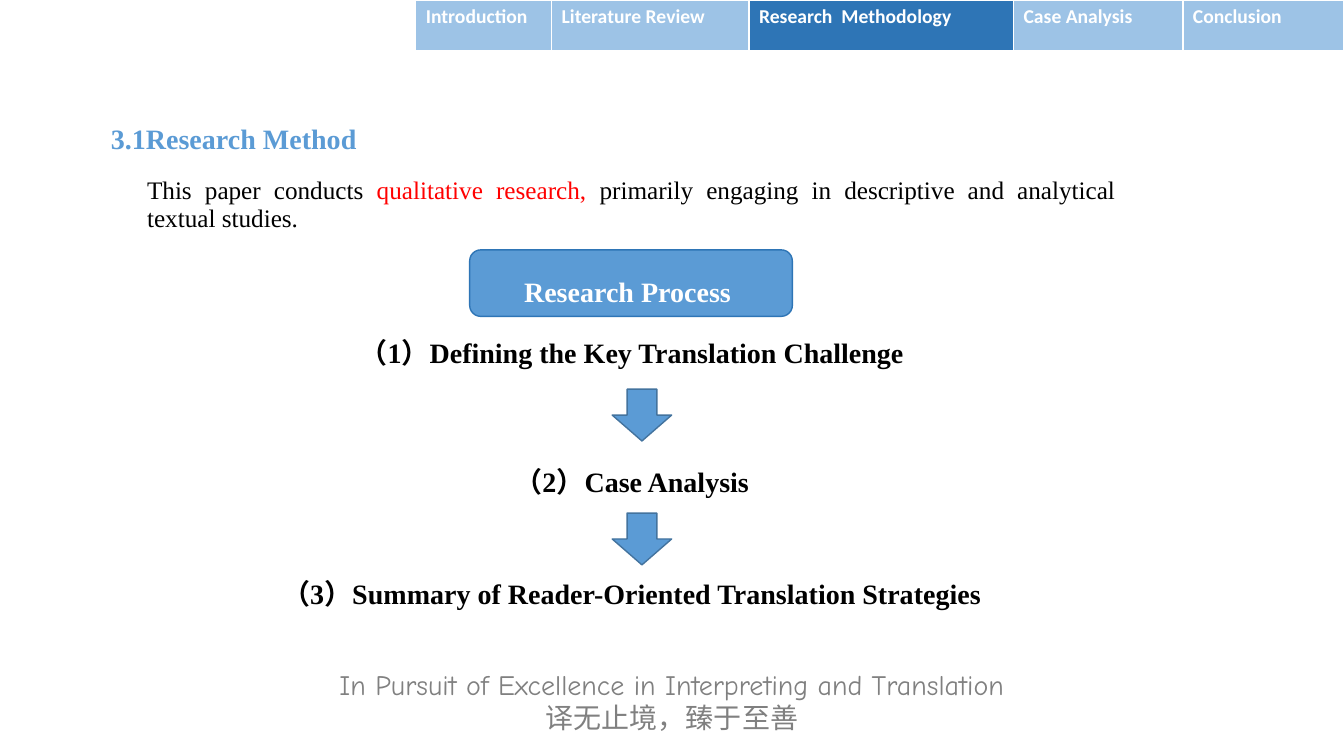
from lxml import etree
from pptx import Presentation
from pptx.dml.color import RGBColor
from pptx.enum.shapes import MSO_SHAPE
from pptx.enum.text import MSO_ANCHOR, PP_ALIGN
from pptx.oxml.ns import qn
from pptx.util import Pt

CENTER, JUSTIFY, LEFT = PP_ALIGN.CENTER, PP_ALIGN.JUSTIFY, PP_ALIGN.LEFT
MIDDLE, TOP = MSO_ANCHOR.MIDDLE, MSO_ANCHOR.TOP
ARROW, ROUNDED = MSO_SHAPE.RIGHT_ARROW, MSO_SHAPE.ROUNDED_RECTANGLE

COLORS = {
    "white": "FFFFFF", "black": "000000", "red": "FF0000", "grey": "808080",
    "blue": "5B9BD5", "pale": "9DC3E6", "dark": "2E75B6", "edge": "43739E",
}
SERIF, SANS, COMIC, CHINESE = "Times New Roman", "Calibri", "Comic Neue", "Noto Sans CJK SC"

SECTIONS = [("Introduction", 97), ("Literature Review", 141), ("Research  Methodology", 189),
            ("Case Analysis", 121), ("Conclusion", 115)]
CURRENT_SECTION = 2
# Step wording and the height of its middle within the process region
STEPS = [("（1）Defining the Key Translation Challenge", 73),
         ("（2）Case Analysis", 165.5),
         ("（3）Summary of Reader-Oriented Translation Strategies", 245.5)]
ARROW_MIDDLES = [118, 206.5]


def color(name):
    return RGBColor.from_string(COLORS[name])


def format_span(span, font, size, tint, bold=False):
    span.font.name, span.font.size, span.font.bold = font, Pt(size), bold
    span.font.color.rgb = color(tint)


def add_box(page, left, top, width, height, anchor=TOP):
    box = page.shapes.add_textbox(Pt(left), Pt(top), Pt(width), Pt(height))
    box.text_frame.word_wrap = True
    box.text_frame.vertical_anchor = anchor
    return box


def add_block(page, preset, left, top, width, height, edge):
    block = page.shapes.add_shape(preset, Pt(left), Pt(top), Pt(width), Pt(height))
    block.shadow.inherit = False
    block.fill.solid()
    block.fill.fore_color.rgb = color("blue")
    block.line.color.rgb = color(edge)
    block.line.width = Pt(1)
    return block


def add_navigation(page, left, top, height):
    width = sum(size for _, size in SECTIONS)
    table = page.shapes.add_table(1, len(SECTIONS), Pt(left), Pt(top), Pt(width), Pt(height)).table
    for index, (label, size) in enumerate(SECTIONS):
        table.columns[index].width = Pt(size)
        cell = table.cell(0, index)
        cell.text = label
        cell.fill.solid()
        cell.fill.fore_color.rgb = color("dark" if index == CURRENT_SECTION else "pale")
        format_span(cell.text_frame.paragraphs[0].runs[0], SANS, 14, "white", True)


def add_heading(page, left, top, width, height):
    title = page.shapes.title
    title.left, title.top, title.width, title.height = Pt(left), Pt(top), Pt(width), Pt(height)
    title.text_frame.text = "3.1Research Method"
    title.text_frame.vertical_anchor = MIDDLE
    para = title.text_frame.paragraphs[0]
    para.alignment, para.line_spacing = LEFT, 0.9
    format_span(para.runs[0], SERIF, 20, "blue", True)


def add_summary(page, left, top, width, height):
    para = add_box(page, left, top, width, height).text_frame.paragraphs[0]
    para.alignment, para.line_spacing = JUSTIFY, Pt(20)
    for text, tint in [("This paper conducts", "black"), (" qualitative research,", "red"),
                       (" primarily engaging in descriptive and analytical textual studies.", "black")]:
        span = para.add_run()
        span.text = text
        format_span(span, SERIF, 18, tint)


def add_process(page, left, top, width):
    # Banner
    banner = add_block(page, ROUNDED, left + 229.5, top, 230.5, 47.5, "dark")
    banner.text_frame.text = "Research Process "
    banner.text_frame.vertical_anchor = MIDDLE
    para = banner.text_frame.paragraphs[0]
    para.alignment, para.line_spacing = CENTER, 1.5
    format_span(para.runs[0], SERIF, 20, "white", True)

    # Steps
    for text, middle in STEPS:
        box = add_box(page, left, top + middle - 18, width, 36, MIDDLE)
        box.text_frame.text = text
        para = box.text_frame.paragraphs[0]
        para.alignment = CENTER
        format_span(para.runs[0], SERIF, 20, "black", True)

    # Arrows between the steps, turned to point down
    length, breadth = 37, 42.5
    for middle in ARROW_MIDDLES:
        arrow = add_block(page, ARROW, left + 352.5 - length / 2, top + middle - breadth / 2,
                          length, breadth, "edge")
        arrow.rotation = 90


def add_motto(page, left, top, width, height):
    frame = add_box(page, left, top, width, height).text_frame
    frame.text = "In Pursuit of Excellence in Interpreting and Translation\n译无止境，臻于至善"
    for para, font in zip(frame.paragraphs, (COMIC, CHINESE)):
        para.alignment = CENTER
        span = para.runs[0]
        format_span(span, font, 20, "grey")
        # East Asian typeface
        etree.SubElement(span.font._element, qn("a:ea")).set("typeface", CHINESE)


def main():
    deck = Presentation()
    deck.slide_width, deck.slide_height = Pt(960), Pt(540)
    page = deck.slides.add_slide(deck.slide_layouts[5])
    add_motto(page, 0, 473, 960, 55.5)
    add_heading(page, 72, 60, 706, 81)
    add_summary(page, 98, 122.5, 706, 47.5)
    add_process(page, 106, 178.5, 690.5)
    add_navigation(page, 297, 0, 36)
    deck.save("out.pptx")


if __name__ == "__main__":
    main()
